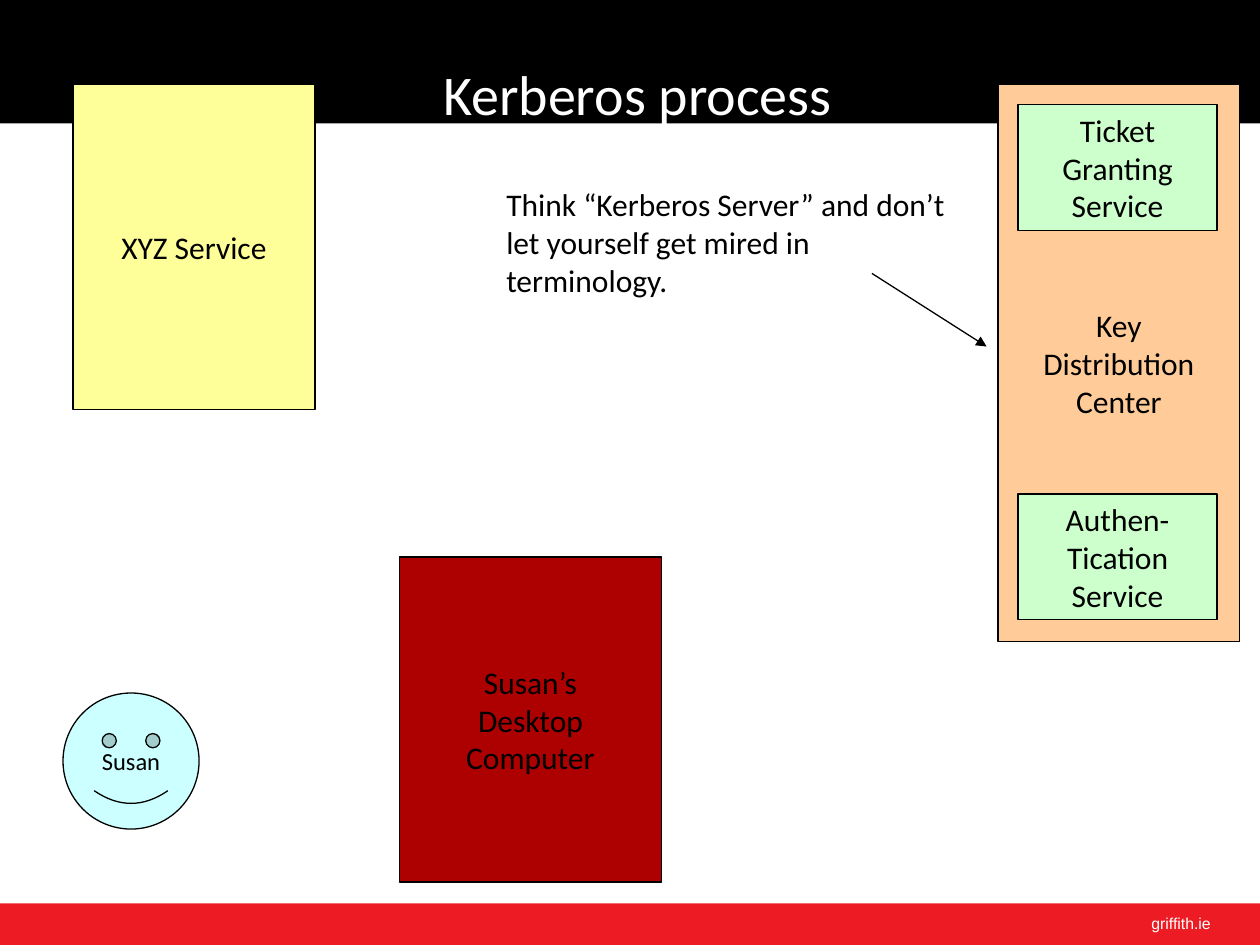
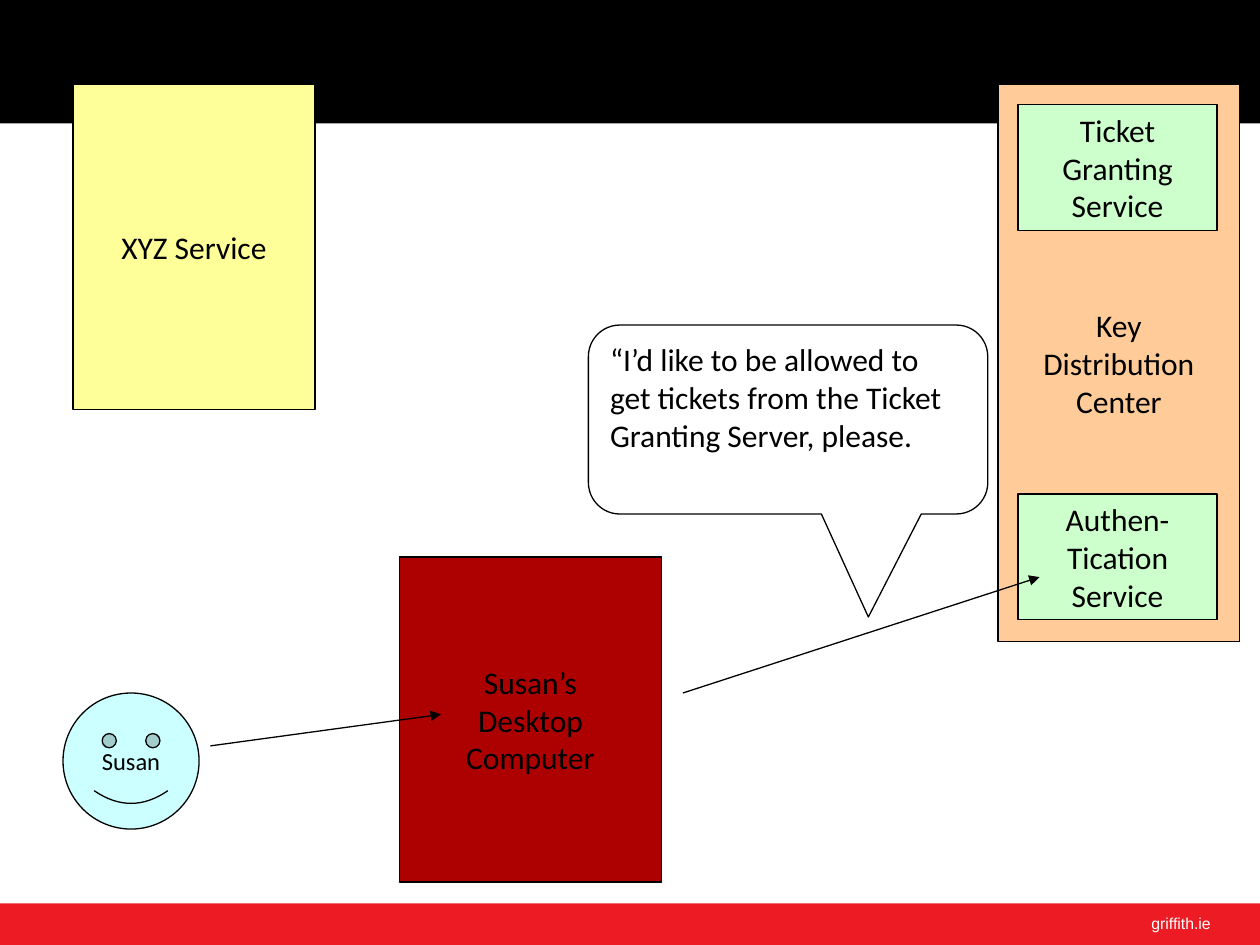
from lxml import etree
from pptx import Presentation
from pptx import util as u
from pptx.dml.color import RGBColor
from pptx.enum import shapes, text
from pptx.oxml import ns

BLACK, WHITE, RED = "000000", "FFFFFF", "ED1C24"
SERVICE_GREEN = "CCFFCC"
RECT = shapes.MSO_SHAPE.RECTANGLE
LEFT, CENTER = text.PP_ALIGN.LEFT, text.PP_ALIGN.CENTER
TOP, MIDDLE = text.MSO_ANCHOR.TOP, text.MSO_ANCHOR.MIDDLE


def add_box(slide, place, words="", fill=None, line=None, kind=RECT, size=18,
            color=BLACK, font="Calibri", align=CENTER, anchor=MIDDLE, adjust=()):
    """Add a shape, or a plain text box when there is no fill; lines of words become paragraphs."""
    place = [u.Inches(length) for length in place]
    if fill:
        box = slide.shapes.add_shape(kind, *place)
        box.shadow.inherit = False
        box.fill.solid()
        box.fill.fore_color.rgb = RGBColor.from_string(fill)
        if line:
            box.line.color.rgb = RGBColor.from_string(line)
            box.line.width = u.Pt(0.75)
        else:
            box.line.fill.background()
        for index, value in enumerate(adjust):
            box.adjustments[index] = value
    else:
        box = slide.shapes.add_textbox(*place)
    if words:
        frame = box.text_frame
        frame.word_wrap = True
        frame.vertical_anchor = anchor
        frame.text = words
        for paragraph in frame.paragraphs:
            paragraph.alignment = align
            paragraph.font.size = u.Pt(size)
            paragraph.font.name = font
            paragraph.font.color.rgb = RGBColor.from_string(color)


def add_arrow(slide, *ends):
    arrow = slide.shapes.add_connector(
        shapes.MSO_CONNECTOR.STRAIGHT, *[u.Inches(length) for length in ends])
    arrow.line.color.rgb = RGBColor.from_string(BLACK)
    arrow.line.width = u.Pt(0.75)
    etree.SubElement(arrow.line._get_or_add_ln(), ns.qn("a:tailEnd"), type="triangle")
    etree.SubElement(arrow._element.spPr, ns.qn("a:effectLst"))


# Parties in the Kerberos exchange: place, label, fill
parties = [
    ((3.17, 4.42, 2.08, 2.58), "Susan’s\nDesktop\nComputer", "AD0101"),
    ((0.58, 0.67, 1.92, 2.58), "XYZ Service", "FFFF99"),
    ((7.92, 0.67, 1.92, 4.42), "Key\nDistribution\nCenter", "FFCC99"),
    ((8.08, 0.83, 1.58, 1), "Ticket\nGranting\nService", SERVICE_GREEN),
    ((8.08, 3.92, 1.58, 1), "Authen-\nTication\nService", SERVICE_GREEN),
]

prs = Presentation()
prs.slide_width, prs.slide_height = u.Inches(10), u.Inches(7.5)
overview, request = [prs.slides.add_slide(prs.slide_layouts[6]) for _ in range(2)]

# Bands, footer and parties on both slides
for slide in (overview, request):
    add_box(slide, (0, 0, 10, 0.98), fill=BLACK)
    add_box(slide, (0, 7.17, 10, 0.33), fill=RED)
    add_box(slide, (9.04, 7.2, 0.92, 0.25), "griffith.ie", size=9, color=WHITE,
            font="Arial", align=LEFT, anchor=TOP)
    for place, label, fill in parties:
        add_box(slide, place, label, fill, BLACK)
    add_box(slide, (0.5, 5.5, 1.08, 1.08), "Susan", "CCFFFF", BLACK,
            kind=shapes.MSO_SHAPE.SMILEY_FACE, size=14, adjust=(0.047,))

# Slide 1: title and a note pointing at the Key Distribution Center
add_box(overview, (3.42, 0.42, 4.17, 0.64), "Kerberos process", size=32, color=WHITE,
        align=LEFT, anchor=TOP)
add_box(overview, (3.92, 1.42, 3.83, 1),
        "Think “Kerberos Server” and don’t let yourself get mired in terminology.",
        align=LEFT, anchor=TOP)
add_arrow(overview, 6.92, 2.17, 7.83, 2.75)

# Slide 2: Susan's request travels to the Authentication Service
add_arrow(request, 1.67, 5.92, 3.5, 5.67)
add_arrow(request, 5.42, 5.5, 8.25, 4.58)
add_box(request, (4.67, 2.58, 3.17, 1.5),
        "“I’d like to be allowed to get tickets from the Ticket Granting Server, please.",
        WHITE, BLACK, kind=shapes.MSO_SHAPE.ROUNDED_RECTANGULAR_CALLOUT,
        align=LEFT, anchor=TOP, adjust=(0.201, 1.045, 0.167))

prs.save("out.pptx")
